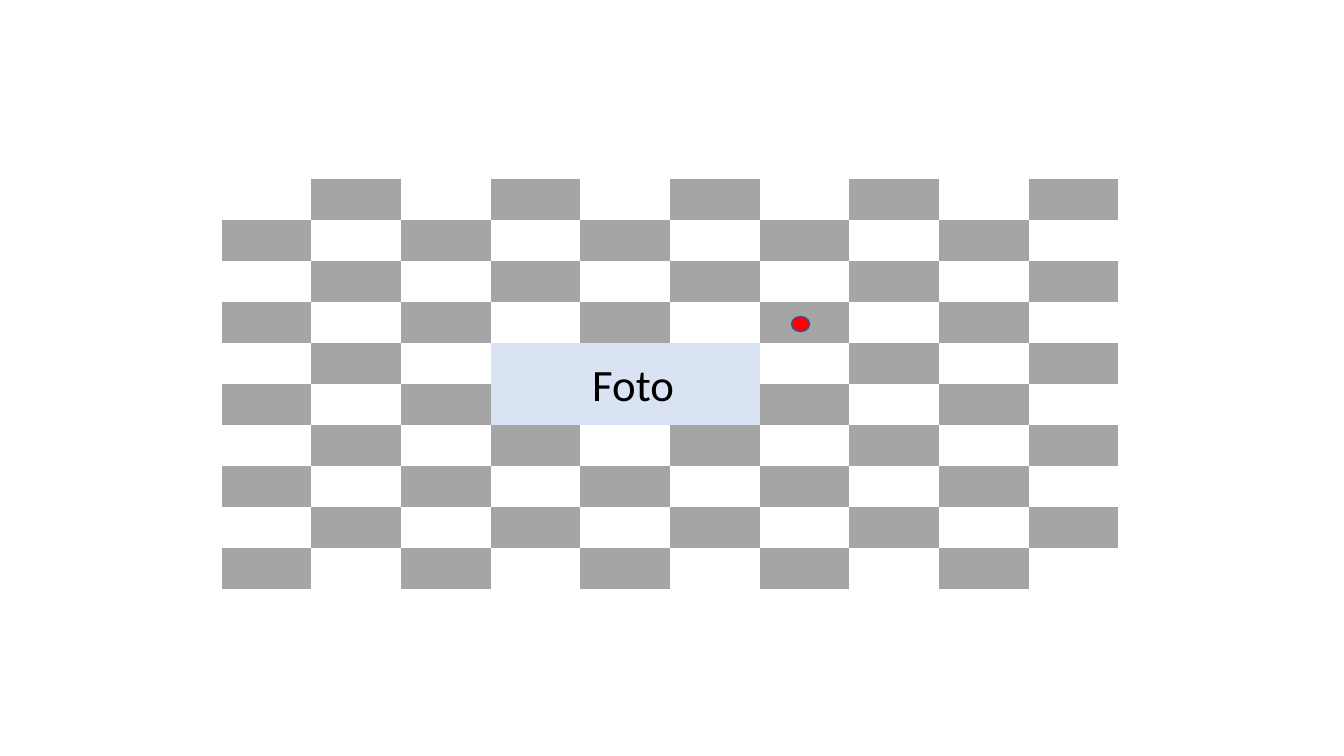
from pptx import Presentation
from pptx.dml.color import RGBColor
from pptx.enum.shapes import MSO_SHAPE
from pptx.enum.text import MSO_ANCHOR, PP_ALIGN
from pptx.util import Inches, Pt

WHITE, GREY, PHOTO_BLUE = "FFFFFF", "A5A5A5", "DAE3F3"
NO_STYLE_NO_GRID = "{2D5ABB26-0587-4C30-8999-92F81FD0307C}"


def paint(fill, color):
    fill.solid()
    fill.fore_color.rgb = RGBColor.from_string(color)


def add_text(page, text, left, top, width, height, size, font, color):
    box = page.shapes.add_textbox(Inches(left), Inches(top), Inches(width), Inches(height))
    box.text_frame.word_wrap = True
    box.text_frame.vertical_anchor = MSO_ANCHOR.MIDDLE
    para = box.text_frame.paragraphs[0]
    para.alignment = PP_ALIGN.CENTER
    span = para.add_run()
    span.text = text
    span.font.size = Pt(size)
    span.font.name = font
    span.font.color.rgb = RGBColor.from_string(color)


deck = Presentation()
deck.slide_width, deck.slide_height = Inches(13.33), Inches(7.5)
page = deck.slides.add_slide(deck.slide_layouts[6])

# Checkerboard: five bands of two rows, the middle one with a wide photo column
board_left, board_top = Inches(2.2), Inches(1.78)
column_width = Inches(8.89) // 10
row_height = Inches(4.06) // 10
plain_columns = [1] * 10
photo_columns = [1, 1, 1, 3, 1, 1, 1, 1]
photo_column = 3

for band in (0, 1, 3, 4, 2):
    is_photo_band = band == 2
    columns = photo_columns if is_photo_band else plain_columns
    frame = page.shapes.add_table(
        2, len(columns), board_left, board_top + band * 2 * row_height,
        10 * column_width, 2 * row_height)
    table = frame.table
    table.first_row = table.horz_banding = False
    table._tbl.tblPr[0].text = NO_STYLE_NO_GRID

    for column, units in enumerate(columns):
        table.columns[column].width = units * column_width
        for row in range(2):
            cell = table.cell(row, column)
            cell.margin_top = cell.margin_bottom = 0
            paint(cell.fill, GREY if (row + column) % 2 else WHITE)

    if is_photo_band:
        photo = table.cell(0, photo_column)
        photo.merge(table.cell(1, photo_column))
        paint(photo.fill, PHOTO_BLUE)

# Photo label
add_text(page, "Foto", left=5.28, top=3.22, width=2, height=1.18,
         size=32, font="Calibri", color="000000")

# Red marker
marker = page.shapes.add_shape(
    MSO_SHAPE.OVAL, Inches(7.85), Inches(3.14), Inches(0.18), Inches(0.15))
marker.shadow.inherit = False
paint(marker.fill, "FF0000")
paint(marker.line.fill, "325491")
marker.line.width = Pt(1)

deck.save("out.pptx")
